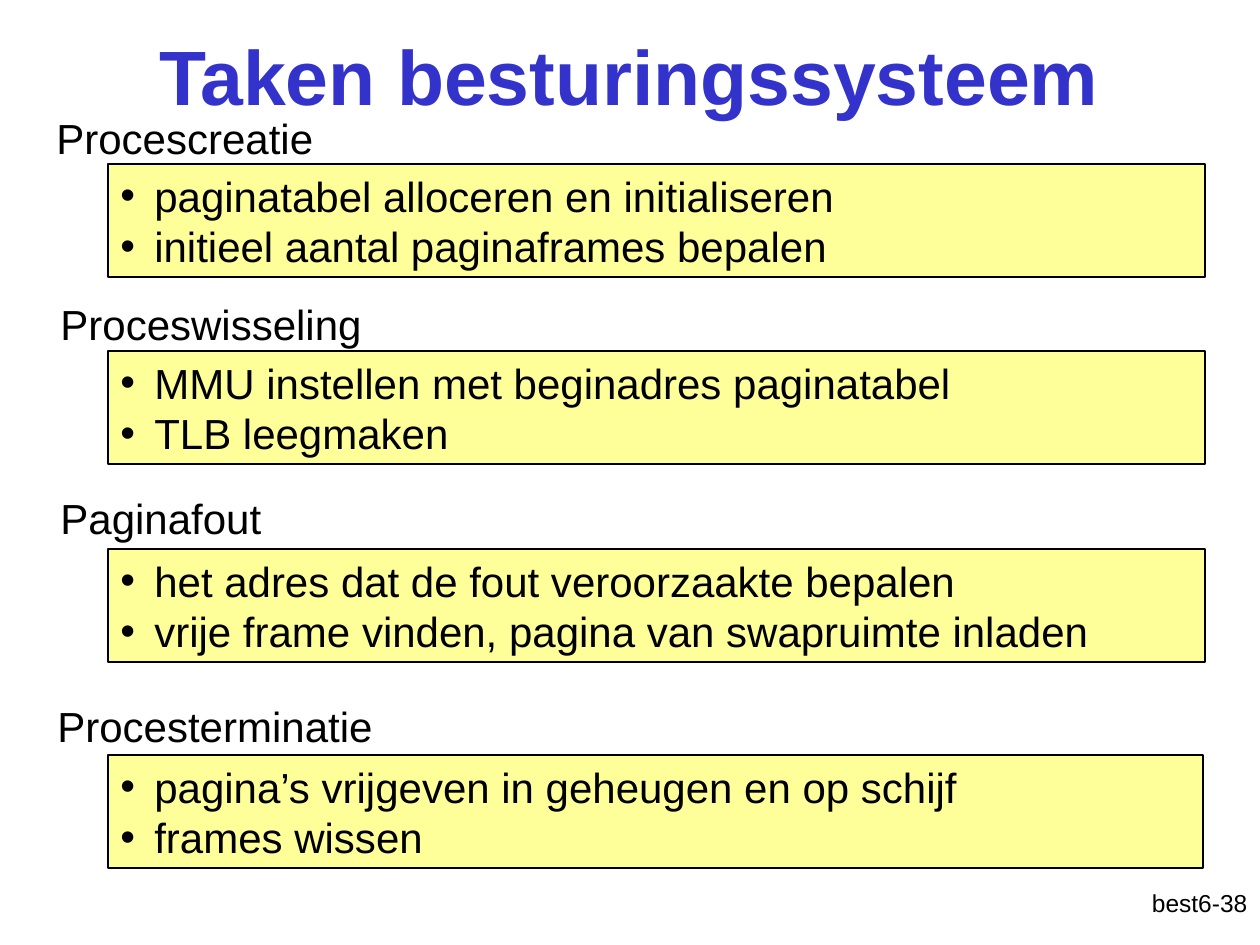
from dataclasses import dataclass

from lxml import etree
from pptx import Presentation
from pptx.dml.color import RGBColor
from pptx.enum.shapes import MSO_SHAPE
from pptx.enum.text import MSO_ANCHOR, MSO_AUTO_SIZE, PP_ALIGN
from pptx.oxml.ns import qn
from pptx.util import Emu, Pt

RECTANGLE = MSO_SHAPE.RECTANGLE
TOP, MIDDLE = MSO_ANCHOR.TOP, MSO_ANCHOR.MIDDLE
LEFT, CENTER, RIGHT = PP_ALIGN.LEFT, PP_ALIGN.CENTER, PP_ALIGN.RIGHT
NO_AUTOFIT = MSO_AUTO_SIZE.NONE

EMU_PER_PX = 914400 / 126
FONT = "Arial"
COLORS = {"title": "3333CC", "text": "000000", "panel": "FFFF99", "background": "FFFFFF"}
PANEL_LEFT = 108
PANEL_HEIGHT = 113
BULLET_INDENT = 34
LINE_PITCH = 28.8


@dataclass(frozen=True)
class Box:
    left: int
    top: int
    width: int
    height: int

    def emu(self) -> tuple[Emu, ...]:
        return tuple(px(n) for n in (self.left, self.top, self.width, self.height))


@dataclass(frozen=True)
class Task:
    heading: str
    heading_box: Box
    steps: tuple[str, ...]
    panel_top: int
    panel_width: int = 1097
    heading_pitch: float = LINE_PITCH


TASKS = (
    Task("Procescreatie", Box(44, 106, 290, 63),
         ("paginatabel alloceren en initialiseren", "initieel aantal paginaframes bepalen"), 164),
    Task("Proceswisseling", Box(48, 292, 335, 63),
         ("MMU instellen met beginadres paginatabel", "TLB leegmaken"), 351),
    Task("Paginafout", Box(48, 491, 232, 58),
         ("het adres dat de fout veroorzaakte bepalen",
          "vrije frame vinden, pagina van swapruimte inladen"), 549, heading_pitch=25.92),
    Task("Procesterminatie", Box(45, 694, 349, 63),
         ("pagina’s vrijgeven in geheugen en op schijf", "frames wissen"), 755, 1095),
)


def px(length: int) -> Emu:
    return Emu(round(length * EMU_PER_PX))


def color(name: str) -> RGBColor:
    return RGBColor.from_string(COLORS[name])


def format_text(frame, size: int, align=LEFT, anchor=TOP, ink: str = "text",
                bold: bool = False, pitch: float | None = None) -> None:
    frame.word_wrap = True
    frame.auto_size = NO_AUTOFIT
    frame.vertical_anchor = anchor
    for paragraph in frame.paragraphs:
        paragraph.alignment = align
        if pitch:
            paragraph.line_spacing = Pt(pitch)
        for run in paragraph.runs:
            run.font.name = FONT
            run.font.size = Pt(size)
            run.font.bold = bold
            run.font.color.rgb = color(ink)


def add_label(slide, text: str, box: Box, size: int, align=LEFT,
              pitch: float | None = None) -> None:
    frame = slide.shapes.add_textbox(*box.emu()).text_frame
    frame.text = text
    format_text(frame, size, align, pitch=pitch)


def add_bullet(paragraph) -> None:
    properties = paragraph._p.get_or_add_pPr()
    properties.set("marL", str(px(BULLET_INDENT)))
    properties.set("indent", str(-px(BULLET_INDENT)))
    etree.SubElement(properties, qn("a:buFont"), typeface=FONT)
    etree.SubElement(properties, qn("a:buChar"), char="•")


def add_task(slide, task: Task) -> None:
    box = Box(PANEL_LEFT, task.panel_top, task.panel_width, PANEL_HEIGHT)
    panel = slide.shapes.add_shape(RECTANGLE, *box.emu())
    panel.shadow.inherit = False
    panel.fill.solid()
    panel.fill.fore_color.rgb = color("panel")
    panel.line.color.rgb = color("text")
    panel.line.width = Pt(0.75)
    frame = panel.text_frame
    frame.text = "\n".join(task.steps)
    for paragraph in frame.paragraphs:
        add_bullet(paragraph)
    format_text(frame, 24, pitch=LINE_PITCH)
    add_label(slide, task.heading, task.heading_box, 24, pitch=task.heading_pitch)


def add_title(slide, text: str, box: Box) -> None:
    title = slide.shapes.title
    title.left, title.top, title.width, title.height = box.emu()
    title.text_frame.text = text
    format_text(title.text_frame, 44, CENTER, MIDDLE, "title", True)


def main() -> None:
    presentation = Presentation()
    presentation.slide_width, presentation.slide_height = px(1260), px(945)
    slide = presentation.slides.add_slide(presentation.slide_layouts[5])
    slide.background.fill.solid()
    slide.background.fill.fore_color.rgb = color("background")
    add_title(slide, "Taken besturingssysteem", Box(94, -4, 1071, 158))
    for task in TASKS:
        add_task(slide, task)
    add_label(slide, "best6-38", Box(998, 882, 262, 63), 14, RIGHT)
    presentation.save("out.pptx")


if __name__ == "__main__":
    main()
